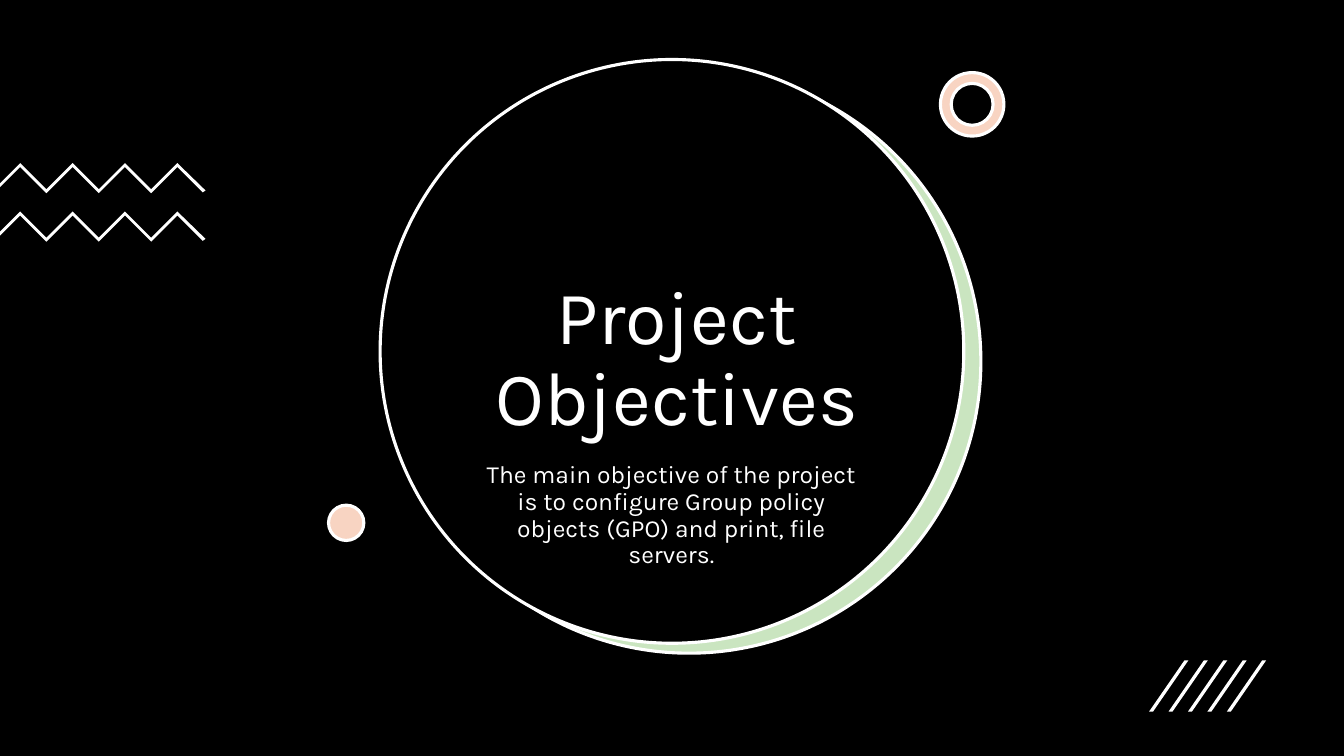
import dataclasses

import pptx
import pptx.dml.color
import pptx.enum.shapes
import pptx.enum.text
import pptx.util

Cm = pptx.util.Cm
Pt = pptx.util.Pt
Kind = pptx.enum.shapes.MSO_SHAPE


def tint(code):
    return pptx.dml.color.RGBColor.from_string(code)


@dataclasses.dataclass(frozen=True)
class Theme:
    back = tint("000000")
    ink = tint("FFFFFF")
    green = tint("CAE5C0")
    peach = tint("F8D4C2")
    font = "Karla"
    title = Pt(54)
    body = Pt(17.6)
    line = Pt(2.25)


theme = Theme()


def paint(shape, color):
    shape.shadow.inherit = False
    shape.fill.solid()
    shape.fill.fore_color.rgb = color


def add_round(slide, kind, left, top, size, color):
    shape = slide.shapes.add_shape(kind, Cm(left), Cm(top), Cm(size), Cm(size))
    paint(shape, color)
    shape.line.color.rgb = theme.ink
    shape.line.width = theme.line
    return shape


def add_outline(slide, points):
    """Draw a closed, borderless shape through points given in cm."""
    spots = [(Cm(x), Cm(y)) for x, y in points]
    form = slide.shapes.build_freeform(*spots[0])
    form.add_line_segments(spots[1:], close=True)
    shape = form.convert_to_shape()
    paint(shape, theme.ink)
    shape.line.fill.background()


def add_wave(slide, top):
    """Draw a zigzag band that runs in from the left edge."""
    crest = [(0.51 + 0.66 * i, top + 0.66 * (i % 2)) for i in range(7)]
    under = [(x, y + 0.1) for x, y in reversed(crest)]
    tip = [(5.18, top + 0.69), (5.11, top + 0.74)]
    edge = [(0, top + 0.61), (0, top + 0.51)]
    add_outline(slide, crest + tip + under + edge)


def add_slash(slide, left):
    top, base, lean, wide = 16.64, 17.93, 0.89, 0.1
    add_outline(slide, [(left + wide, base), (left, base),
                        (left + lean, top), (left + lean + wide, top)])


def set_text(shape, box, text, size, anchor):
    shape.left, shape.top, shape.width, shape.height = map(Cm, box)
    frame = shape.text_frame
    frame.text = text
    frame.word_wrap = True
    frame.auto_size = pptx.enum.text.MSO_AUTO_SIZE.NONE
    frame.vertical_anchor = anchor
    para = frame.paragraphs[0]
    para.alignment = pptx.enum.text.PP_ALIGN.CENTER
    para.line_spacing = 0.9
    para.font.name = theme.font
    para.font.size = size
    para.font.color.rgb = theme.ink


def main():
    deck = pptx.Presentation()
    deck.slide_width, deck.slide_height = Cm(33.87), Cm(19.05)
    slide = deck.slides.add_slide(deck.slide_layouts[5])
    fill = slide.background.fill
    fill.solid()
    fill.fore_color.rgb = theme.back

    add_round(slide, Kind.OVAL, 10.01, 1.75, 14.71, theme.green)
    disc = add_round(slide, Kind.OVAL, 9.58, 1.5, 14.71, theme.back)

    title = slide.shapes.title
    anchor = pptx.enum.text.MSO_ANCHOR
    set_text(title, (11.02, 4.11, 12.07, 7.16), "Project Objectives",
             theme.title, anchor.BOTTOM)
    disc.element.addnext(title.element)  # keeps the title above the disc
    body = slide.shapes.add_textbox(0, 0, 0, 0)
    set_text(body, (11.89, 11.53, 10.06, 2.49),
             "The main objective of the project is to configure Group policy "
             "objects (GPO) and print, file servers.",
             theme.body, anchor.TOP)

    ring = add_round(slide, Kind.DONUT, 23.7, 1.83, 1.6, theme.peach)
    ring.adjustments[0] = 0.17
    add_round(slide, Kind.OVAL, 8.28, 12.73, 0.89, theme.peach)
    for top in (4.11, 5.33):
        add_wave(slide, top)
    for i in range(5):
        add_slash(slide, 28.96 + 0.49 * i)

    deck.save("out.pptx")


if __name__ == "__main__":
    main()
